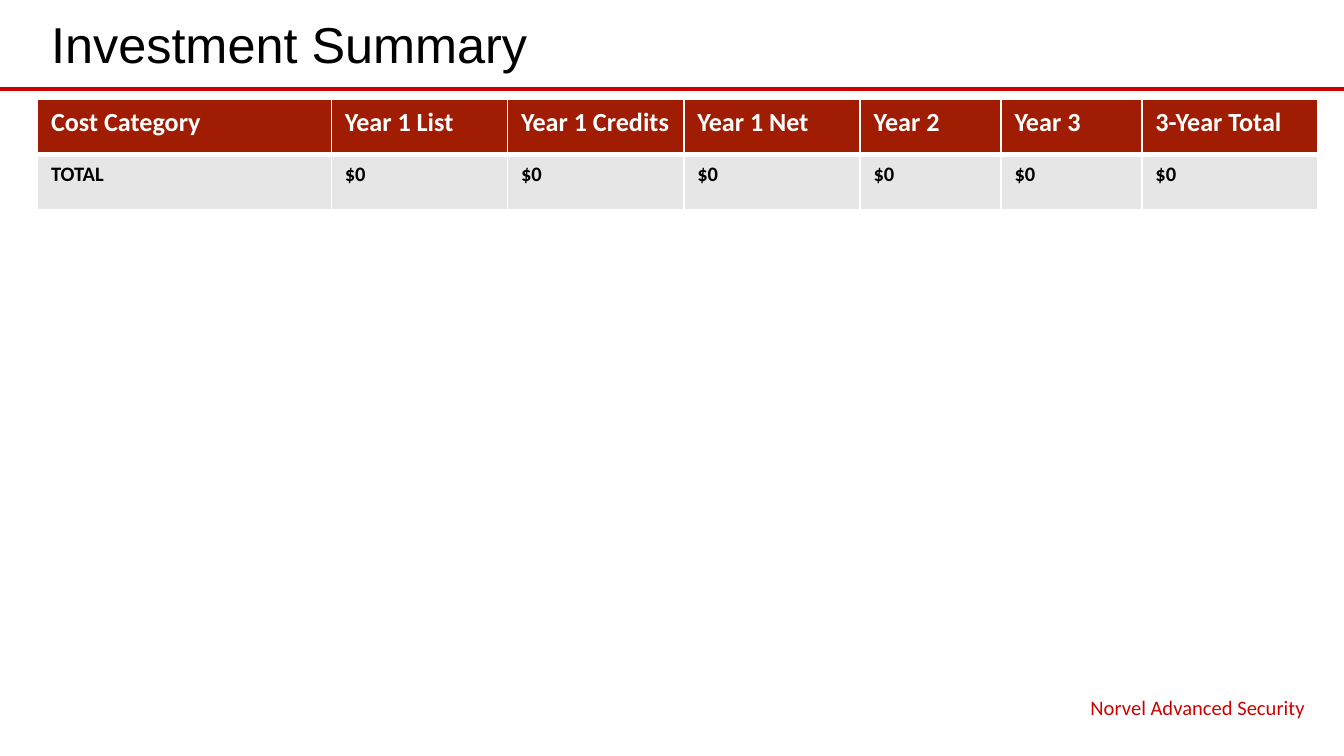
from pptx import Presentation
from pptx.dml.color import RGBColor
from pptx.enum.shapes import MSO_CONNECTOR
from pptx.enum.text import MSO_ANCHOR, MSO_AUTO_SIZE, PP_ALIGN
from pptx.oxml.ns import qn
from pptx.util import Inches, Pt
from lxml.etree import SubElement

WHITE = RGBColor(0xFF, 0xFF, 0xFF)
BLACK = RGBColor(0x00, 0x00, 0x00)
RED = RGBColor(0xCC, 0x00, 0x00)
DARK_RED = RGBColor(0xA0, 0x1C, 0x02)
GREY = RGBColor(0xE7, 0xE6, 0xE6)

SLIDE_WIDTH = 10
SLIDE_HEIGHT = SLIDE_WIDTH * 9 / 16
LEFT, CONTENT_WIDTH = 0.28, 9.53
RIGHT = LEFT + CONTENT_WIDTH
RULE_TOP = 0.66
TABLE_TOP, ROW_HEIGHT = 0.74, 0.41
COLUMN_SHARES = [25, 15, 15, 15, 12, 12, 15]
HEADINGS = ["Cost Category", "Year 1 List", "Year 1 Credits", "Year 1 Net",
            "Year 2", "Year 3", "3-Year Total"]
TOTALS = ["TOTAL"] + ["$0"] * (len(HEADINGS) - 1)


def format_runs(paragraph, font_name, size, color, bold=False):
    """Apply one font to every run of a paragraph."""
    for run in paragraph.runs:
        run.font.name = font_name
        run.font.size = Pt(size)
        run.font.bold = bold
        run.font.color.rgb = color


def fill_placeholder(shape, text, box, alignment, font_name, size, color):
    """Place a placeholder and give it one line of text without a bullet."""
    shape.left, shape.top, shape.width, shape.height = map(Inches, box)
    frame = shape.text_frame
    frame.text = text
    frame.word_wrap = True
    frame.auto_size = MSO_AUTO_SIZE.NONE
    frame.vertical_anchor = MSO_ANCHOR.MIDDLE
    paragraph = frame.paragraphs[0]
    properties = paragraph._p.get_or_add_pPr()
    properties.set("marL", "0")
    properties.set("indent", "0")
    SubElement(properties, qn("a:buNone"))
    paragraph.alignment = alignment
    paragraph.space_before = Pt(0)
    format_runs(paragraph, font_name, size, color)


def add_rule(slide):
    """Draw the red rule across the slide under the title."""
    rule = slide.shapes.add_connector(
        MSO_CONNECTOR.STRAIGHT, 0, Inches(RULE_TOP), Inches(SLIDE_WIDTH), Inches(RULE_TOP))
    rule.line.color.rgb = RED
    rule.line.width = Pt(2.25)
    SubElement(rule._element.spPr, qn("a:effectLst"))


def set_borders(cell, bottom):
    """Give a cell white borders, 1 pt wide except at the bottom."""
    properties = cell._tc.get_or_add_tcPr()
    for side, width in (("L", 1), ("R", 1), ("T", 1), ("B", bottom)):
        border = SubElement(properties, qn(f"a:ln{side}"), w=str(Pt(width)))
        fill = SubElement(border, qn("a:solidFill"))
        SubElement(fill, qn("a:srgbClr"), val=str(WHITE))


def fill_row(row, texts, size, color, background, bottom):
    """Write and format the cells of one table row."""
    row.height = Inches(ROW_HEIGHT)
    for cell, text in zip(row.cells, texts):
        set_borders(cell, bottom)
        cell.fill.solid()
        cell.fill.fore_color.rgb = background
        cell.text_frame.text = text
        format_runs(cell.text_frame.paragraphs[0], "Calibri", size, color, bold=True)


def add_cost_table(slide):
    """Add the table of costs by year."""
    table = slide.shapes.add_table(
        2, len(HEADINGS), Inches(LEFT), Inches(TABLE_TOP),
        Inches(CONTENT_WIDTH), Inches(2 * ROW_HEIGHT)).table
    for column, share in zip(table.columns, COLUMN_SHARES):
        column.width = Inches(CONTENT_WIDTH * share / sum(COLUMN_SHARES))
    fill_row(table.rows[0], HEADINGS, 14, WHITE, DARK_RED, bottom=3)
    fill_row(table.rows[1], TOTALS, 11, BLACK, GREY, bottom=1)


def main():
    """Build the investment summary slide."""
    presentation = Presentation()
    presentation.slide_width = Inches(SLIDE_WIDTH)
    presentation.slide_height = Inches(SLIDE_HEIGHT)
    slide = presentation.slides.add_slide(presentation.slide_layouts[1])
    title, product_label = slide.placeholders
    add_rule(slide)
    fill_placeholder(title, "Investment Summary", (LEFT, 0.03, CONTENT_WIDTH, 0.58),
                     PP_ALIGN.LEFT, "Arial", 27, BLACK)
    add_cost_table(slide)
    label_width = 3.52
    fill_placeholder(product_label, "Norvel Advanced Security",
                     (RIGHT - label_width, 5.13, label_width, 0.26),
                     PP_ALIGN.RIGHT, "Calibri", 11, RED)
    presentation.save("out.pptx")


if __name__ == "__main__":
    main()
